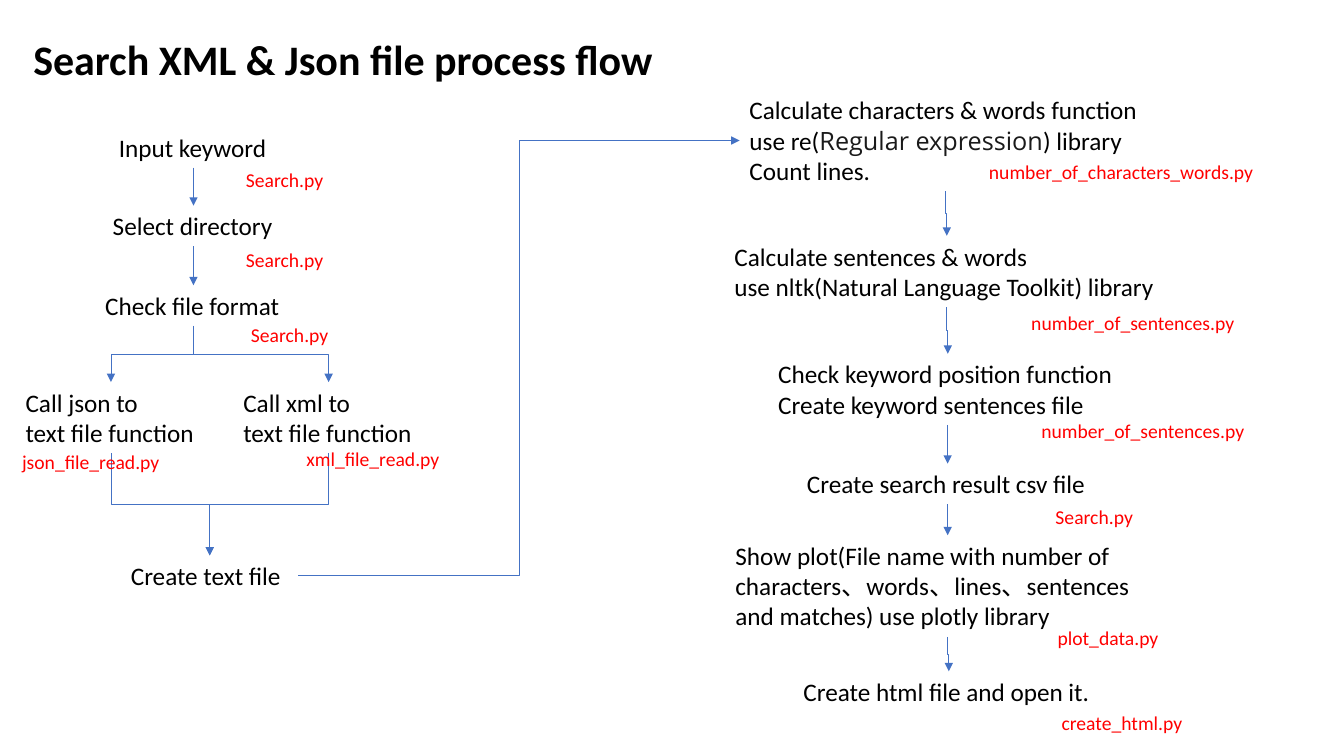
from lxml import etree
from pptx import Presentation, util as u
from pptx.dml.color import RGBColor
from pptx.enum import shapes, text
from pptx.oxml.ns import qn

BLACK, RED, BLUE, GREY = "000000", "FF0000", "4472C4", "1A1A1A"
LATIN, SANS, CJK = "Calibri", "Open Sans", "Noto Sans CJK TC"
LEFT, JSON, XML, TXT = 1.92, 1.1, 3.26, 2.08  # column centres, inches
TOP_SITE, LEFT_SITE, BOTTOM_SITE, RIGHT_SITE = range(4)

prs = Presentation()
prs.slide_width, prs.slide_height = u.Inches(13.33), u.Inches(7.5)
s = prs.slides.add_slide(prs.slide_layouts[5])


def write(sp, paragraphs, size, color=BLACK, wrap=False, bold=False):
    """Fill a shape; a run is a string or a (string, font, colour) tuple."""
    tf = sp.text_frame
    frame = {"word_wrap": wrap, "auto_size": text.MSO_AUTO_SIZE.SHAPE_TO_FIT_TEXT,
             "vertical_anchor": text.MSO_ANCHOR.TOP}
    for name, value in frame.items():
        setattr(tf, name, value)
    for i, runs in enumerate(paragraphs):
        p = tf.paragraphs[0] if i == 0 else tf.add_paragraph()
        p.alignment = text.PP_ALIGN.LEFT
        for run in [runs] if isinstance(runs, str) else runs:
            words, font, ink = (run, LATIN, color) if isinstance(run, str) else run
            r = p.add_run()
            r.text = words
            for name, value in {"name": font, "size": u.Pt(size), "bold": bold}.items():
                setattr(r.font, name, value)
            r.font.color.rgb = RGBColor.from_string(ink)
            if font == CJK:
                etree.SubElement(r.font._element, qn("a:ea"), typeface=CJK)


def link(a, a_site, b, b_site):
    """Glue an elbow arrow between two boxes; downward ones leave vertically."""
    c = s.shapes.add_connector(shapes.MSO_CONNECTOR.ELBOW, 0, 0, 0, 0)
    c.begin_connect(a, a_site)
    c.end_connect(b, b_site)
    c.line.color.rgb = RGBColor.from_string(BLUE)
    c.line.width = u.Pt(0.5)
    etree.SubElement(c.line._get_or_add_ln(), qn("a:tailEnd"), type="triangle")
    etree.SubElement(c._element.spPr, qn("a:effectLst"))
    if a_site == BOTTOM_SITE:
        dx, dy = c.end_x - c.begin_x, c.end_y - c.begin_y
        mid_x, mid_y = (c.begin_x + c.end_x) // 2, (c.begin_y + c.end_y) // 2
        xfrm = c._element.spPr.find(qn("a:xfrm"))
        xfrm.set("rot", str((270 if dx >= 0 else 90) * 60000))
        xfrm.set("flipH", "1" if dx >= 0 else "0")
        xfrm.set("flipV", "0")
        c.width, c.height = dy, abs(dx)
        c.left, c.top = mid_x - dy // 2, mid_y - abs(dx) // 2


title = s.shapes.title
title.left, title.top, title.width, title.height = map(u.Inches, (0.23, 0.28, 6.41, 0.61))
write(title, ["Search XML & Json file process flow"], 30, bold=True)

comma = ("、", CJK, BLACK)
# key: centre, top, width, number of lines, paragraphs
steps = {
    "keyword": (LEFT, 1.26, 1.68, 1, ["Input keyword"]),
    "directory": (LEFT, 2.04, 1.8, 1, ["Select directory"]),
    "format": (LEFT, 2.83, 1.95, 1, ["Check file format"]),
    "xml": (XML, 3.79, 1.89, 2, ["Call xml to", "text file function"]),
    "json": (JSON, 3.79, 1.89, 2, ["Call json to", "text file function"]),
    "text": (TXT, 5.51, 1.76, 1, ["Create text file"]),
    "characters": (9.38, 0.89, 4.09, 3, [
        "Calculate characters & words function",
        ["use re(", ("Regular expression", SANS, GREY), ") library"],
        "Count lines."]),
    "sentences": (9.39, 2.34, 4.41, 2, [
        "Calculate sentences & words", "use nltk(Natural Language Toolkit) library"]),
    "position": (9.4, 3.51, 3.56, 2, [
        "Check keyword position function", "Create keyword sentences file"]),
    "csv": (9.4, 4.6, 2.99, 1, ["Create search result csv file"]),
    "plot": (9.4, 5.31, 4.41, 3, [[
        "Show plot(File name with number of characters", comma, "words", comma,
        "lines", comma, "sentences and matches) use plotly library"]]),
    "html": (9.41, 6.66, 3.08, 1, ["Create html file and open it."]),
}
boxes = {}
for key, (centre, top, width, lines, paragraphs) in steps.items():
    boxes[key] = s.shapes.add_textbox(*map(
        u.Inches, (centre - width / 2, top, width, 0.1 + 0.303 * lines)))
    write(boxes[key], paragraphs, 18, wrap=key == "plot")

for a, b in [("keyword", "directory"), ("directory", "format"), ("format", "xml"),
             ("format", "json"), ("xml", "text"), ("json", "text"),
             ("characters", "sentences"), ("sentences", "position"),
             ("position", "csv"), ("csv", "plot"), ("plot", "html")]:
    link(boxes[a], BOTTOM_SITE, boxes[b], TOP_SITE)
link(boxes["text"], RIGHT_SITE, boxes["characters"], LEFT_SITE)

for name, x, y, width in [
        ("Search.py", 2.34, 1.62, 0.98), ("Search.py", 2.34, 2.41, 0.98),
        ("Search.py", 2.39, 3.15, 0.98), ("xml_file_read.py", 2.94, 4.38, 1.54),
        ("json_file_read.py", 0.12, 4.41, 1.58),
        ("number_of_characters_words.py", 9.71, 1.54, 2.85),
        ("number_of_sentences.py", 10.13, 3.04, 2.24),
        ("number_of_sentences.py", 10.23, 4.11, 2.24),
        ("Search.py", 10.37, 4.96, 0.98), ("plot_data.py", 10.39, 6.16, 1.22),
        ("create_html.py", 10.43, 7, 1.41)]:
    sp = s.shapes.add_textbox(*map(u.Inches, (x, y, width, 0.34)))
    write(sp, [name], 14, RED)

prs.save("out.pptx")
